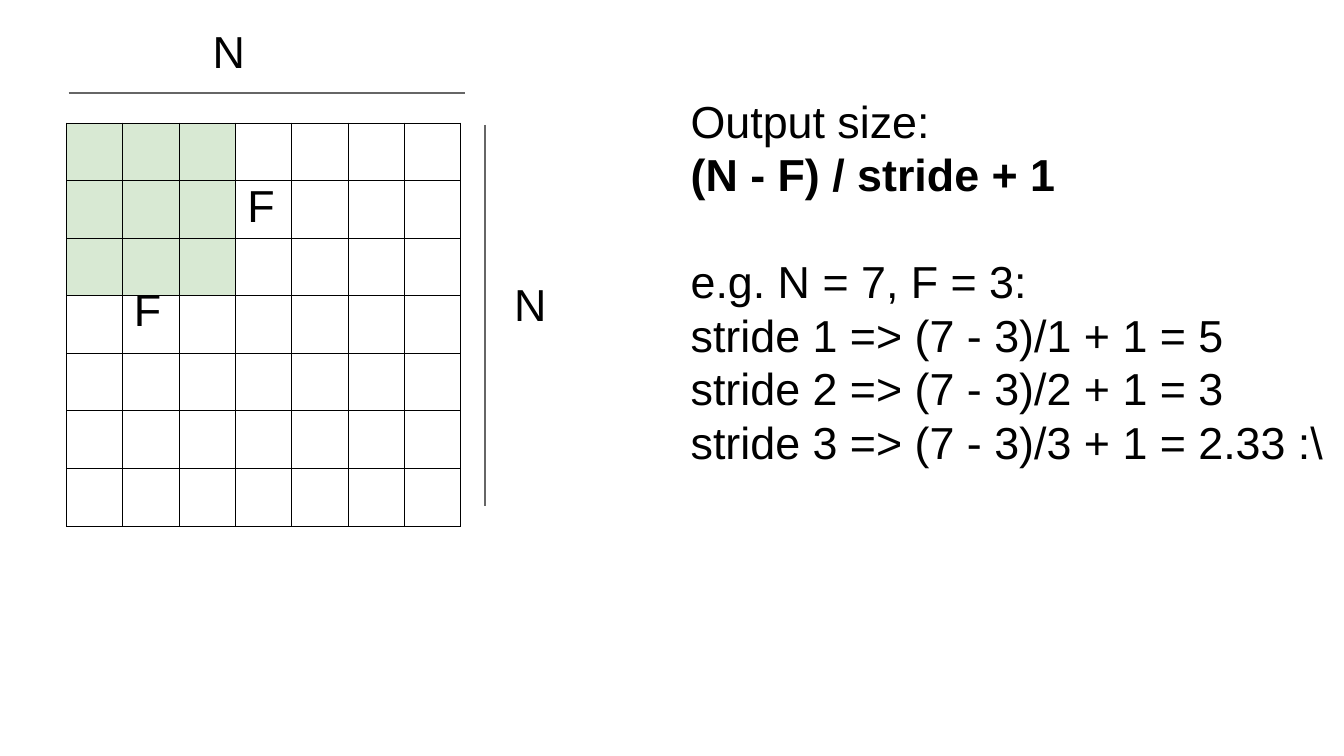
from lxml.etree import SubElement
from pptx import Presentation
from pptx.dml.color import RGBColor
from pptx.enum.shapes import MSO_CONNECTOR
from pptx.oxml import parse_xml
from pptx.oxml.ns import nsdecls, qn
from pptx.util import Inches, Pt


def color(value):
    return RGBColor.from_string(value)


def write_lines(text_frame, lines, left, top):
    text_frame.word_wrap = True
    text_frame.margin_left = Inches(left)
    text_frame.margin_top = Inches(top)
    text_frame.margin_right = text_frame.margin_bottom = 0
    for index, (text, bold, spacing, before) in enumerate(lines):
        paragraph = text_frame.add_paragraph() if index else text_frame.paragraphs[0]
        paragraph.text = text
        paragraph.line_spacing = spacing
        paragraph.space_before = Pt(before)
        paragraph.font.name = "Arial"
        paragraph.font.size = Pt(32)
        paragraph.font.bold = bold
        paragraph.font.color.rgb = color("000000")


presentation = Presentation()
presentation.slide_width = Inches(13.33)
presentation.slide_height = Inches(7.5)
slide = presentation.slides.add_slide(presentation.slide_layouts[6])

for x1, y1, x2, y2 in [(0.68, 0.92, 4.61, 0.92), (4.81, 1.24, 4.81, 5.02)]:
    size_line = slide.shapes.add_connector(
        MSO_CONNECTOR.STRAIGHT, Inches(x1), Inches(y1), Inches(x2), Inches(y2))
    size_line.line.color.rgb = color("666666")
    size_line.line.width = Pt(1.5)
    SubElement(size_line._element.spPr, qn("a:effectLst"))

GRID_SIZE = 7
FILTER_SIZE = 3
table = slide.shapes.add_table(
    GRID_SIZE, GRID_SIZE, Inches(0.66), Inches(1.22), Inches(3.91), Inches(4)).table
table.first_row = False
table.horz_banding = False
for row in range(GRID_SIZE):
    for column in range(GRID_SIZE):
        cell = table.cell(row, column)
        properties = cell._tc.get_or_add_tcPr()
        for side in ("lnL", "lnR", "lnT", "lnB"):
            properties.append(parse_xml(
                f'<a:{side} {nsdecls("a")} w="{Pt(0.75)}"><a:solidFill>'
                f'<a:srgbClr val="000000"/></a:solidFill></a:{side}>'))
        if row < FILTER_SIZE and column < FILTER_SIZE:
            cell.fill.solid()
            cell.fill.fore_color.rgb = color("D8E9D3")
        else:
            cell.fill.background()

for row, column, left, top, spacing, before in [
        (1, 3, 0.12, 0.01, 1.0, 0.5), (3, 1, 0.11, 0, Pt(28.6), 0)]:
    cell = table.cell(row, column)
    write_lines(cell.text_frame, [("F", False, spacing, before)], left, top)
    cell.margin_left = Inches(left)
    cell.margin_top = Inches(top)
    cell.margin_right = cell.margin_bottom = 0

LINE = Pt(38.2)
size_label = [("N", False, 1.0, 1.3)]
formula = [
    ("Output size:", False, LINE, 1.3),
    ("(N - F) / stride + 1", True, LINE, 0),
]
examples = [
    ("e.g. N = 7, F = 3:", False, LINE, 1.3),
    ("stride 1 => (7 - 3)/1 + 1 = 5", False, LINE, 0),
    ("stride 2 => (7 - 3)/2 + 1 = 3", False, LINE, 0),
    ("stride 3 => (7 - 3)/3 + 1 = 2.33 :\\", False, LINE, 0),
]
for left, top, width, height, lines in [
        (2.09, 0.22, 0.36, 0.56, size_label),
        (5.08, 2.73, 0.36, 0.56, size_label),
        (6.83, 0.91, 3.9, 1.08, formula),
        (6.83, 2.5, 6.45, 2.15, examples)]:
    text_box = slide.shapes.add_textbox(
        Inches(left), Inches(top), Inches(width), Inches(height))
    write_lines(text_box.text_frame, lines, 0.02, 0.02)

presentation.save("out.pptx")
